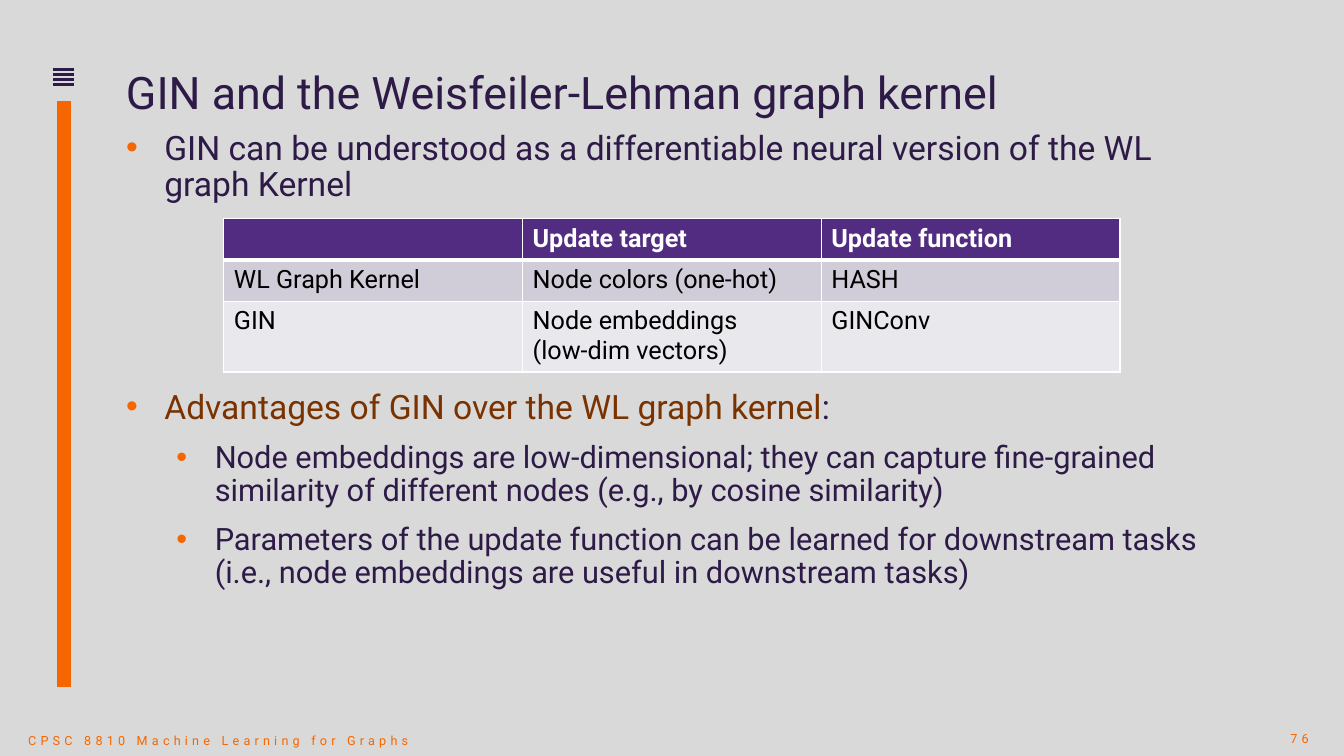
from lxml import etree
from pptx import Presentation
from pptx import util as u
from pptx.dml.color import RGBColor
from pptx.enum import shapes, text
from pptx.oxml import ns

ORANGE, INK, BROWN = "F56600", "2E1A47", "7A3300"
WHITE, BLACK = "FFFFFF", "000000"


def rgb(value):
    return RGBColor.from_string(value)


def sub(parent, tag, **attrs):
    return etree.SubElement(parent, ns.qn(tag), **attrs)


class Deck:
    """Holds the style and the current slide, and adds elements to it."""

    font = "Roboto"

    def __init__(self, width, height, background):
        self.prs = Presentation()
        self.prs.slide_width = u.Inches(width)
        self.prs.slide_height = u.Inches(height)
        self.s = self.prs.slides.add_slide(self.prs.slide_layouts[6])
        self.s.background.fill.solid()
        self.s.background.fill.fore_color.rgb = rgb(background)

    def run(self, p, words, size, color, bold=False, spacing=0):
        r = p.add_run()
        r.text = words
        r.font.name, r.font.size, r.font.bold = self.font, u.Pt(size), bold
        r.font.color.rgb = rgb(color)
        if spacing:
            r._r.get_or_add_rPr().set("spc", str(spacing * 100))

    def box(self, left, top, width, height, inset_top=0.0):
        sp = self.s.shapes.add_textbox(*map(u.Inches, (left, top, width, height)))
        tf = sp.text_frame
        tf.word_wrap = True
        tf.margin_left = tf.margin_right = tf.margin_bottom = 0
        tf.margin_top = u.Inches(inset_top)
        return tf

    def title(self, words, *place):
        p = self.box(*place).paragraphs[0]
        p.line_spacing = 0.9
        self.run(p, words, 32, INK)

    def footer(self, words, *place, align=text.PP_ALIGN.LEFT):
        tf = self.box(*place, inset_top=0.05)
        tf.vertical_anchor = text.MSO_ANCHOR.MIDDLE
        p = tf.paragraphs[0]
        p.alignment = align
        self.run(p, words, 9, ORANGE, spacing=3)

    def bullets(self, items, *place):
        tf = self.box(*place)
        for i, (level, runs) in enumerate(items):
            p = tf.paragraphs[0] if i == 0 else tf.add_paragraph()
            p.level = level
            p.line_spacing, p.space_after = 0.9, u.Pt(6)
            if level:
                p.space_before = u.Pt(5)
            pPr = p._p.get_or_add_pPr()
            pPr.set("marL", str(u.Inches(0.38 + 0.5 * level)))
            pPr.set("indent", str(u.Inches(-0.38)))
            sub(sub(pPr, "a:buClr"), "a:srgbClr", val=ORANGE)
            sub(pPr, "a:buFont", typeface="Arial")
            sub(pPr, "a:buChar", char="•")
            for words, color in runs:
                self.run(p, words, 24 - 2 * level, color)

    def line(self, x1, y1, x2, y2, color, weight):
        c = self.s.shapes.add_connector(
            shapes.MSO_CONNECTOR.STRAIGHT, *map(u.Inches, (x1, y1, x2, y2)))
        c.line.color.rgb = rgb(color)
        c.line.width = u.Pt(weight)
        sub(c._element.spPr, "a:effectLst")

    def cell(self, cell, words, fill, color, header):
        tcPr = cell._tc.get_or_add_tcPr()
        for side in "LRTB":
            thick = 3 if (header and side == "B") else 1
            ln = sub(tcPr, "a:ln" + side, w=str(u.Pt(thick)))
            sub(sub(ln, "a:solidFill"), "a:srgbClr", val=WHITE)
        cell.fill.solid()
        cell.fill.fore_color.rgb = rgb(fill)
        for i, part in enumerate(words.split("\n")):
            tf = cell.text_frame
            p = tf.paragraphs[0] if i == 0 else tf.add_paragraph()
            if part:
                self.run(p, part, 18, color, header)

    def table(self, rows, fills, heights, left, top, width):
        cols = len(rows[0])
        t = self.s.shapes.add_table(
            len(rows), cols, *map(u.Inches, (left, top, width, sum(heights)))).table
        for col in t.columns:
            col.width = u.Inches(width / cols)
        for i, (row, fill, height) in enumerate(zip(rows, fills, heights)):
            t.rows[i].height = u.Inches(height)
            for j, words in enumerate(row):
                self.cell(t.cell(i, j), words, fill, BLACK if i else WHITE, i == 0)


def main():
    deck = Deck(13.33, 7.5, "D9D9D9")
    deck.footer("CPSC 8810 Machine Learning for Graphs", 0.28, 7.14, 3.97, 0.36)
    for i in range(4):
        y = 0.69 + 0.05 * i
        deck.line(0.53, y, 0.73, y, INK, 1.75)
    deck.line(0.63, 1, 0.63, 6.82, ORANGE, 10)
    deck.footer("76", 12.73, 7.17, 0.32, 0.26, align=text.PP_ALIGN.CENTER)
    deck.title("GIN and the Weisfeiler-Lehman graph kernel", 1.25, 0.7, 11.5, 0.48)
    deck.bullets([
        (0, [("GIN can be understood as a differentiable neural version "
              "of the WL graph Kernel", INK)]),
    ], 1.25, 1.3, 11.05, 0.8)
    deck.bullets([
        (0, [("Advantages of GIN over the WL graph kernel", BROWN), (":", INK)]),
        (1, [("Node embeddings are low-dimensional; they can capture fine-grained "
              "similarity of different nodes (e.g., by cosine similarity)", INK)]),
        (1, [("Parameters of the update function can be learned for downstream tasks "
              "(i.e., node embeddings are useful in downstream tasks)", INK)]),
    ], 1.25, 3.87, 11.05, 2.48)
    deck.table([
        ("", "Update target", "Update function"),
        ("WL Graph Kernel", "Node colors (one-hot)", "HASH"),
        ("GIN", "Node embeddings\n(low-dim vectors)", "GINConv"),
    ], ("512C80", "D0CDD8", "E9E8ED"), (0.41, 0.41, 0.69), 2.22, 2.17, 8.89)
    deck.prs.save("out.pptx")


if __name__ == "__main__":
    main()
